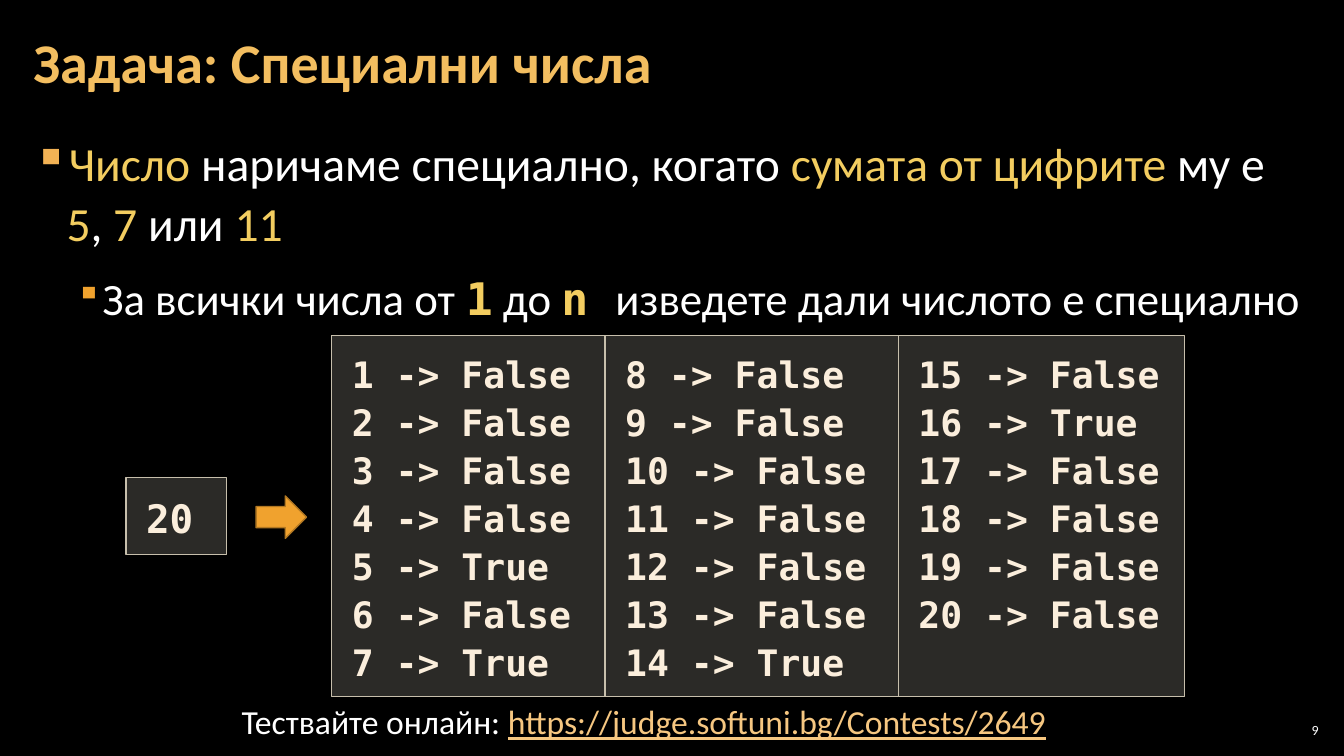
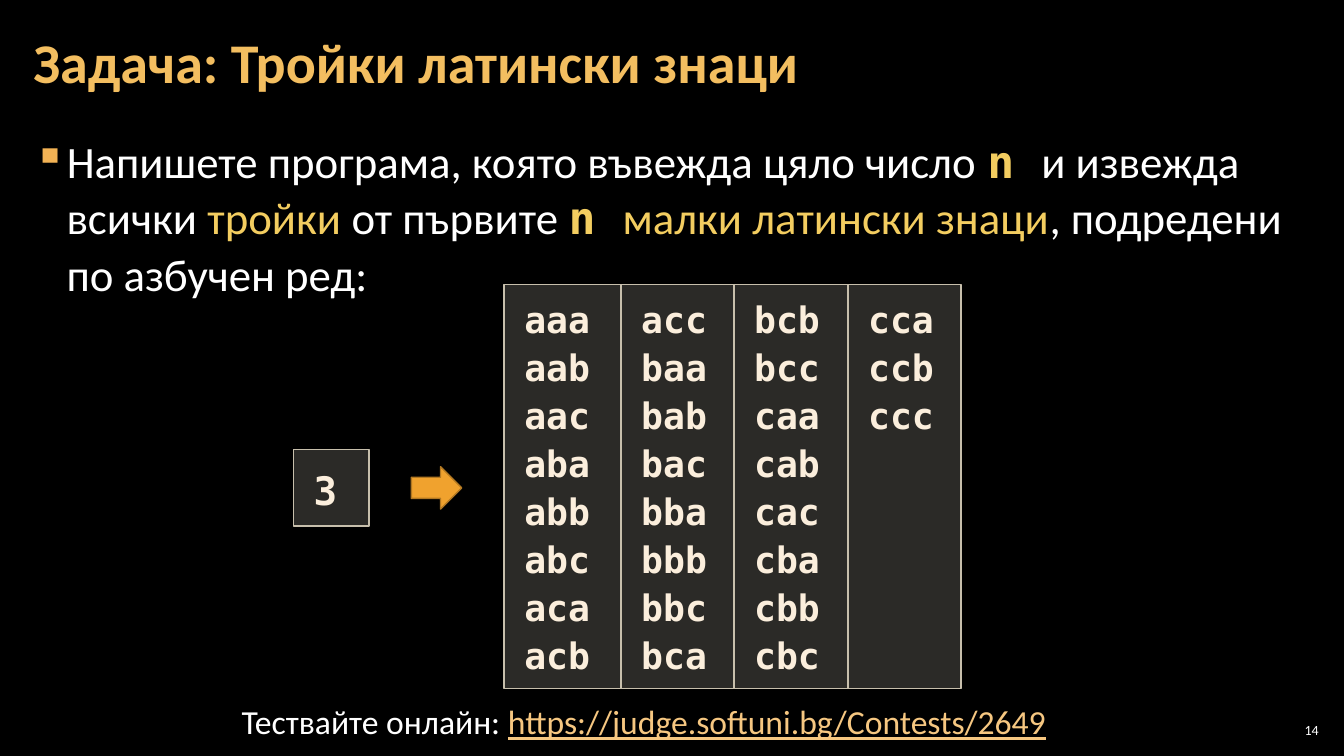
from itertools import product
from lxml import etree
from pptx import Presentation
from pptx.dml.color import RGBColor as RGB
from pptx.enum.shapes import MSO_SHAPE as Shape
from pptx.enum.text import MSO_ANCHOR as Anchor, PP_ALIGN as Align
from pptx.oxml import parse_xml
from pptx.oxml.ns import nsdecls, qn
from pptx.util import Inches, Pt

HUES = {"back": "000000", "title": "F3BE60", "text": "FFFFFF", "gold": "F3CD60",
        "link": "F6C781", "code": "FBEEDC", "panel": "D9D5C7", "edge": "C7BFAC",
        "arrow": "F0A22E", "rim": "B27822", "mark": "F2B254", "sub": "F0A22E"}
SANS, MONO = "Calibri", "DejaVu Sans Mono"

# Bullet levels: indent, hang, bullet colour, bullet size in percent
LEVELS = [(0.33, 0.33, "mark", 100), (0.67, 0.25, "sub", 80)]

# Output listings
signs = [f"{n} -> {sum(map(int, str(n))) in (5, 7, 11)}" for n in range(1, 21)]
trios = ["".join(t) for t in product("abc", repeat=3)]

# Body paragraphs hold size and runs; a run is its text and its style
SLIDES = [
    {"title": "Задача: Специални числа", "page": "9",
     "body": [
         (34, [("Число ", "gold"), ("наричаме специално, когато ", "text"),
               ("сумата от цифрите ", "gold"), ("му е ", "text"), ("5", "gold"),
               (", ", "text"), ("7 ", "gold"), ("или ", "text"), ("11", "gold")]),
         (32, [("За всички числа от ", "text"), ("1", "mono"), (" до ", "text"),
               ("n ", "mono"), ("изведете дали числото е специално", "text")])],
     "input": ("20", 1.25, 4.74, 1), "arrow": (2.54, 4.92),
     "lines": signs, "rows": 7, "left": 3.29, "top": 3.33, "high": 3.58,
     "wide": [2.71, 2.91, 2.84], "pad": 0.12},
    {"title": "Задача: Тройки латински знаци", "page": "14",
     "body": [
         (32, [("Напишете програма, която въвежда цяло число ", "text"),
               ("n ", "mono"), ("и извежда всички ", "text"), ("тройки ", "gold"),
               ("от първите ", "text"), ("n ", "mono"),
               ("малки латински знаци", "gold"),
               (", подредени по азбучен ред:", "text")])],
     "input": ("3", 2.91, 4.46, 0.75), "arrow": (4.08, 4.63),
     "lines": trios, "rows": 8, "left": 5, "top": 2.82, "high": 4.01,
     "wide": [1.16, 1.12, 1.13, 1.12], "pad": 0.08},
]


def frame(shape, pad_x, pad_y, anchor=Anchor.TOP):
    """Set wrapping, insets and anchor, and return the text frame."""
    box = shape.text_frame
    box.word_wrap = True
    box.margin_left = box.margin_right = Inches(pad_x)
    box.margin_top = box.margin_bottom = Inches(pad_y)
    box.vertical_anchor = anchor
    return box


def style(font, hue, size=None, name=None, bold=None):
    """Colour a font and set whatever else is given."""
    font.color.rgb = RGB.from_string(HUES[hue])
    if size:
        font.size = Pt(size)
    if name:
        font.name = name
    font.bold = bold


deck = Presentation()
deck.slide_width, deck.slide_height = Inches(13.33), Inches(7.5)
back = deck.slide_master.background.fill
back.solid()
back.fore_color.rgb = RGB.from_string(HUES["back"])

for data in SLIDES:
    slide = deck.slides.add_slide(deck.slide_layouts[6])
    shapes = slide.shapes

    # Body with bullets
    area = shapes.add_textbox(Inches(0.21), Inches(1.26), Inches(12.91), Inches(6.09))
    box = frame(area, 0.12, 0.04)
    for i, (size, runs) in enumerate(data["body"]):
        para = box.paragraphs[0] if i == 0 else box.add_paragraph()
        left, hang, hue, part = LEVELS[i]
        para.level = i
        para.line_spacing = 1.05
        para.space_before, para.space_after = Pt(6 if i else 0), Pt(6)
        props = para._p.get_or_add_pPr()
        props.set("marL", str(Inches(left)))
        props.set("indent", str(-Inches(hang)))
        for xml in (f'<a:buClr {nsdecls("a")}><a:srgbClr val="{HUES[hue]}"/></a:buClr>',
                    f'<a:buSzPct {nsdecls("a")} val="{part * 1000}"/>',
                    f'<a:buChar {nsdecls("a")} char="▪"/>'):
            props.append(parse_xml(xml))
        style(para.font, "text", size, SANS)
        for text, kind in runs:
            run = para.add_run()
            run.text = text
            if kind == "mono":
                style(run.font, "gold", name=MONO, bold=True)
            elif kind == "gold":
                style(run.font, "gold")

    # Title
    area = shapes.add_textbox(Inches(0.21), Inches(0.04), Inches(12.91), Inches(1.21))
    para = frame(area, 0.12, 0.04, Anchor.MIDDLE).paragraphs[0]
    para.text = data["title"]
    para.line_spacing = 0.9
    style(para.font, "title", 40, SANS, True)

    # Input panel, then output columns side by side
    text, left, top, wide = data["input"]
    panels = [([text], left, top, wide, 0.76, 0.12, 28)]
    left, rows = data["left"], data["rows"]
    for i, wide in enumerate(data["wide"]):
        lines = data["lines"][i * rows:(i + 1) * rows]
        panels.append((lines, left, data["top"], wide, data["high"], data["pad"], 26))
        left += wide
    for lines, left, top, wide, high, pad, size in panels:
        panel = shapes.add_shape(Shape.RECTANGLE, Inches(left), Inches(top),
                                 Inches(wide), Inches(high))
        panel.shadow.inherit = False
        panel.fill.solid()
        panel.fill.fore_color.rgb = RGB.from_string(HUES["panel"])
        tint = panel._element.spPr.find(qn("a:solidFill"))[0]
        etree.SubElement(tint, qn("a:alpha"), val="20000")
        panel.line.color.rgb = RGB.from_string(HUES["edge"])
        panel.line.width = Pt(1)
        box = frame(panel, 0.2, pad)
        for i, line in enumerate(lines):
            para = box.paragraphs[0] if i == 0 else box.add_paragraph()
            para.text = line
            para.alignment = Align.LEFT
            para.line_spacing = 1.1
            style(para.font, "code", size, MONO, True)

    # Arrow from input to output
    left, top = data["arrow"]
    arrow = shapes.add_shape(Shape.RIGHT_ARROW, Inches(left), Inches(top),
                             Inches(0.5), Inches(0.42))
    arrow.shadow.inherit = False
    arrow.fill.solid()
    arrow.fill.fore_color.rgb = RGB.from_string(HUES["arrow"])
    arrow.line.color.rgb = RGB.from_string(HUES["rim"])
    arrow.line.width = Pt(1)

    # Page number
    area = shapes.add_textbox(Inches(12.65), Inches(7.14), Inches(0.47), Inches(0.21))
    para = frame(area, 0.04, 0.04, Anchor.MIDDLE).paragraphs[0]
    para.text = data["page"]
    para.alignment = Align.RIGHT
    style(para.font, "text", 10, SANS)

    # Footer with the contest address
    area = shapes.add_textbox(Inches(0.47), Inches(6.88), Inches(11.83), Inches(0.53))
    para = frame(area, 0.1, 0.05).paragraphs[0]
    para.alignment = Align.CENTER
    para.line_spacing = 1.07
    style(para.font, "text", 24, SANS)
    para.add_run().text = "Тествайте онлайн: "
    run = para.add_run()
    run.text = "https://judge.softuni.bg/Contests/2649"
    style(run.font, "link")
    run.font.underline = True

deck.save("out.pptx")
